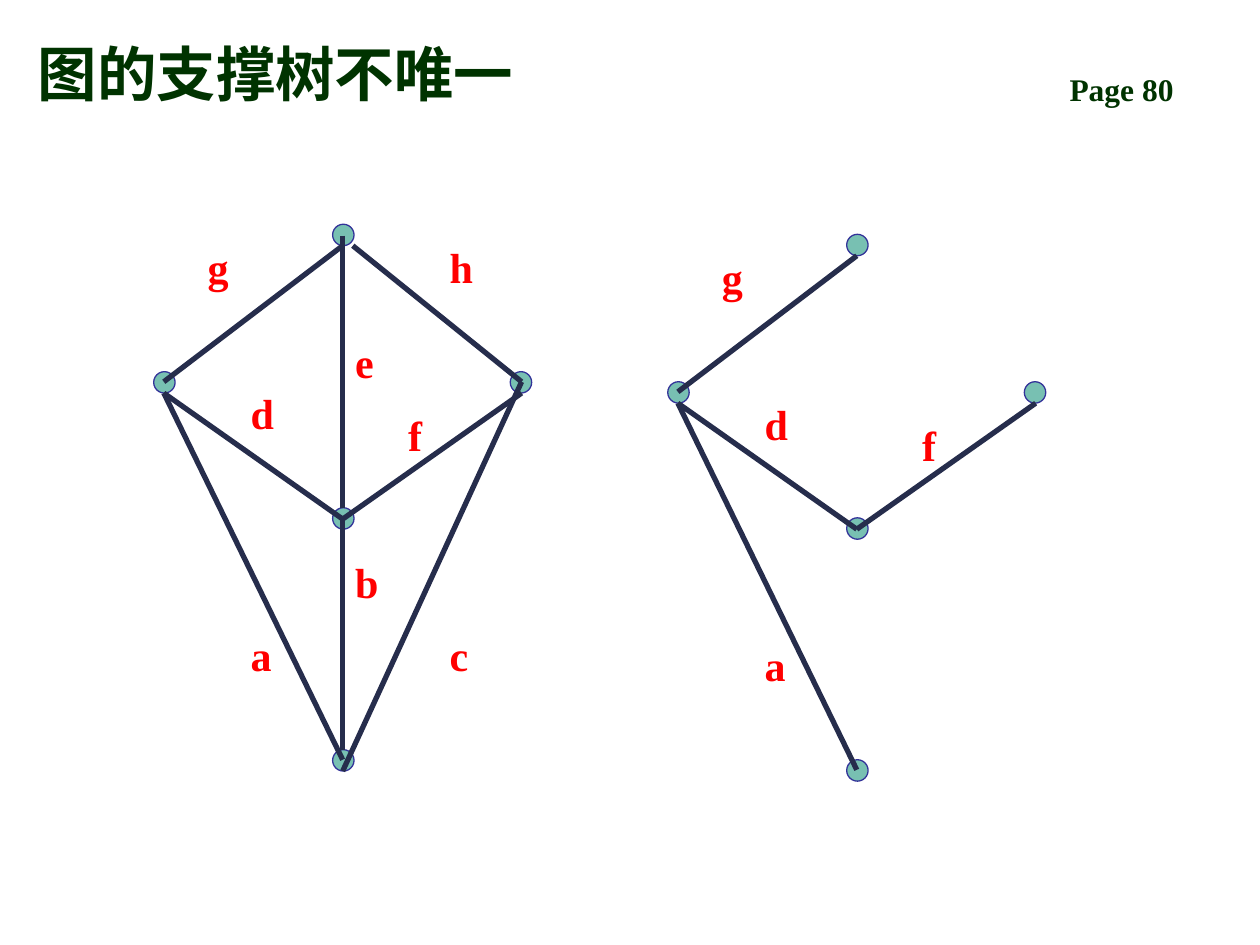
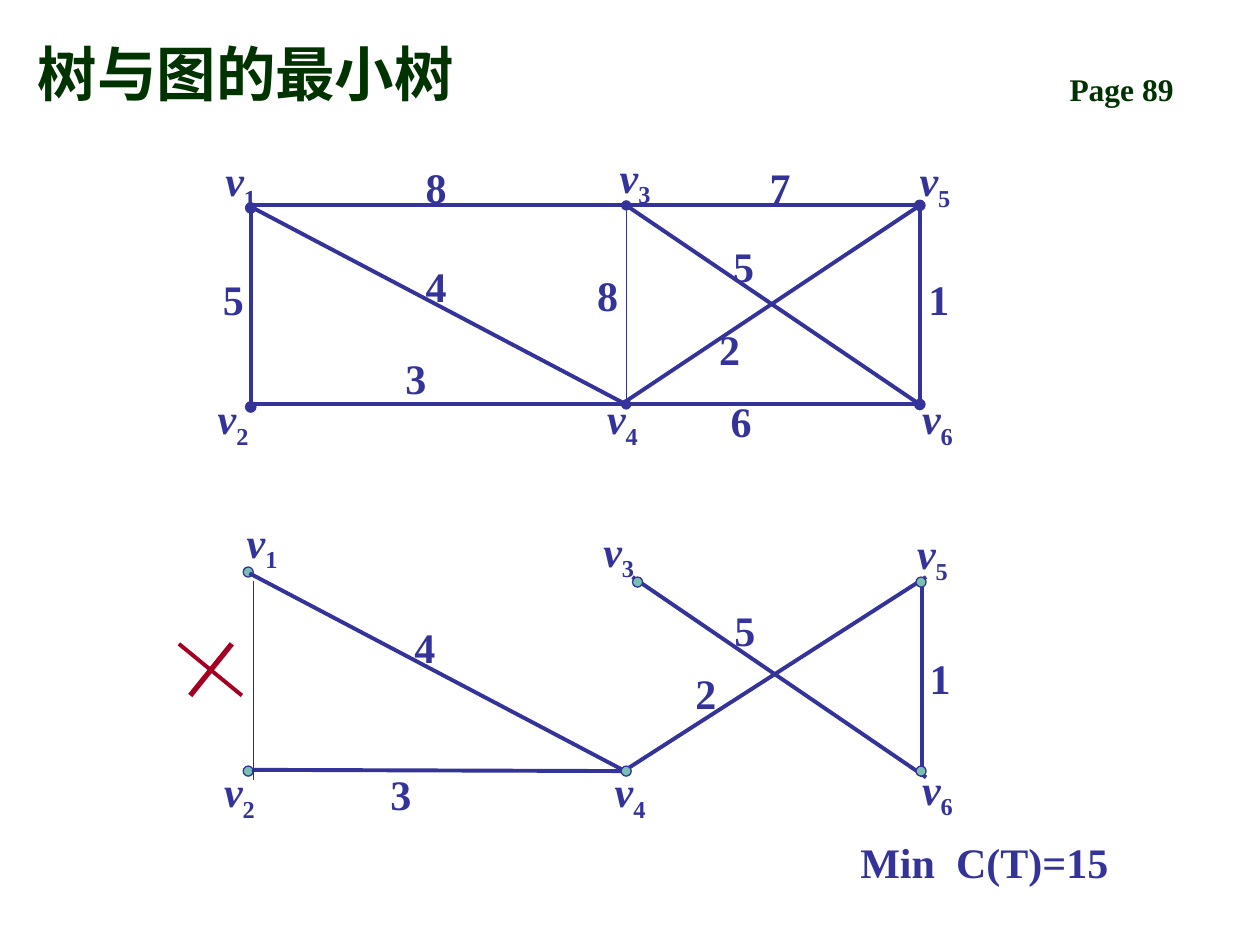
import pptx
import pptx.dml.color
import pptx.enum.shapes
import pptx.enum.text
import pptx.oxml.xmlchemy
import pptx.presentation
import pptx.shapes.shapetree
import pptx.slide
import pptx.text.text
import pptx.util
from typing import NamedTuple

Inches = pptx.util.Inches
Point = tuple[float, float]
Shapes = pptx.shapes.shapetree.SlideShapes | pptx.shapes.shapetree.GroupShapes

FONT_NAME = "Times New Roman"
DARK_GREEN = pptx.dml.color.RGBColor(0x00, 0x33, 0x00)
TEAL = pptx.dml.color.RGBColor(0x78, 0xC0, 0xB2)
INDIGO = pptx.dml.color.RGBColor(0x33, 0x33, 0x99)
NAVY = pptx.dml.color.RGBColor(0x26, 0x2D, 0x4C)
RED = pptx.dml.color.RGBColor(0xFF, 0x00, 0x00)
CRIMSON = pptx.dml.color.RGBColor(0xA5, 0x00, 0x21)

TITLE_FORMAT = {"name": FONT_NAME, "size": pptx.util.Pt(34), "bold": True}
PAGE_FORMAT = TITLE_FORMAT | {"size": pptx.util.Pt(18)}
LABEL_FORMAT = TITLE_FORMAT | {"size": pptx.util.Pt(24)}

LABEL_HEIGHT = 0.5
LETTER_WIDTH = 0.42
WEIGHT_WIDTH = 0.37
VERTEX_WIDTH = 0.46


class Edge(NamedTuple):
    start: Point
    end: Point
    width: float = 2.25
    oval_ends: bool = False


class Label(NamedTuple):
    text: str
    left: float
    top: float


class NamedEdge(NamedTuple):
    edge: Edge
    label: Label


NODE_SIZE = 0.17
GRAPH_NODES = [(2.64, 1.78), (4.05, 2.95), (1.22, 2.95), (2.64, 4.03), (2.64, 5.95)]
GRAPH_EDGES = [
    NamedEdge(Edge((1.3, 3.03), (2.72, 1.95), 3), Label("g", 1.55, 1.87)),
    NamedEdge(Edge((2.8, 1.95), (4.14, 3.03), 3), Label("h", 3.47, 1.87)),
    NamedEdge(Edge((2.72, 1.87), (2.72, 4.03), 3), Label("e", 2.72, 2.62)),
    NamedEdge(Edge((1.3, 3.12), (2.72, 4.12), 3), Label("d", 1.89, 3.03)),
    NamedEdge(Edge((4.14, 3.12), (2.72, 4.12), 3), Label("f", 3.14, 3.2)),
    NamedEdge(Edge((2.72, 4.12), (2.72, 5.95), 3), Label("b", 2.72, 4.37)),
    NamedEdge(Edge((1.3, 3.12), (2.72, 6.03), 3), Label("a", 1.89, 4.95)),
    NamedEdge(Edge((4.14, 3.03), (2.72, 6.12), 3), Label("c", 3.47, 4.95)),
]
SPANNING_TREE = "gdfa"
TREE_OFFSET = (4.08, 0.08)

TOP, BOTTOM = 1.63, 3.21
COLUMN_1, COLUMN_2, COLUMN_3 = 1.97, 4.97, 7.3
NETWORK_EDGES = [
    Edge((1.99, 1.65), (1.99, 3.23), oval_ends=True),
    Edge((COLUMN_1, TOP), (COLUMN_2, TOP)),
    Edge((COLUMN_1, BOTTOM), (5.05, BOTTOM)),
    Edge((COLUMN_1, TOP), (COLUMN_2, BOTTOM)),
    Edge((COLUMN_2, TOP), (COLUMN_2, BOTTOM), 0.75, True),
    Edge((COLUMN_2, TOP), (COLUMN_3, TOP)),
    Edge((COLUMN_3, TOP), (4.96, 3.19)),
    Edge((COLUMN_2, TOP), (COLUMN_3, BOTTOM)),
    Edge((COLUMN_2, BOTTOM), (COLUMN_3, BOTTOM)),
    Edge((COLUMN_3, TOP), (COLUMN_3, BOTTOM), oval_ends=True),
]
NETWORK_VERTICES = [
    Label("1", 1.69, 1.18), Label("2", 1.63, 3.07), Label("3", 4.82, 1.15),
    Label("4", 4.72, 3.07), Label("5", 7.2, 1.18), Label("6", 7.22, 3.07),
]
NETWORK_WEIGHTS = [
    Label("5", 1.67, 2.12), Label("8", 3.28, 1.23), Label("4", 3.28, 2.02),
    Label("3", 3.12, 2.75), Label("7", 6.01, 1.23), Label("5", 5.72, 1.86),
    Label("2", 5.61, 2.52), Label("6", 5.7, 3.09), Label("1", 7.27, 2.12),
    Label("8", 4.64, 2.09),
]

TREE_DOT_SIZE = 0.08
TREE_LEFT_DOTS = [(1.93, 4.5), (1.93, 6.08)]
TREE_RIGHT_DOTS = [(5.02, 4.58), (4.93, 6.08), (7.27, 4.58), (7.27, 6.08)]
TREE_EDGES = [
    Edge((2, 6.11), (4.95, 6.12)),
    Edge((1.98, 4.55), (4.98, 6.13)),
    Edge((7.35, 4.58), (4.95, 6.12)),
    Edge((5.02, 4.58), (7.35, 6.17)),
    Edge((7.32, 4.58), (7.32, 6.17)),
]
TREE_VERTICES = [
    Label("1", 1.86, 4.05), Label("2", 1.68, 6.03), Label("3", 4.69, 4.12),
    Label("4", 4.78, 6.03), Label("5", 7.18, 4.14), Label("6", 7.22, 6.01),
]
TREE_WEIGHTS = [
    Label("4", 3.19, 4.88), Label("3", 3, 6.05), Label("5", 5.73, 4.75),
    Label("2", 5.42, 5.25), Label("1", 7.28, 5.13),
]
REMOVED_EDGE = [
    Edge((2.01, 4.61), (2.01, 6.19), 0.75),
    Edge((1.84, 5.11), (1.51, 5.52), 3),
    Edge((1.42, 5.11), (1.92, 5.52)),
]


def format_font(font: pptx.text.text.Font, values: dict,
                color: pptx.dml.color.RGBColor) -> None:
    for name, value in values.items():
        setattr(font, name, value)
    font.color.rgb = color


def add_text(shapes: Shapes, label: Label, width: float, color: pptx.dml.color.RGBColor,
             values: dict = LABEL_FORMAT, height: float = LABEL_HEIGHT,
             wrap: bool = True) -> pptx.text.text._Paragraph:
    box = shapes.add_textbox(Inches(label.left), Inches(label.top),
                             Inches(width), Inches(height))
    box.text_frame.word_wrap = wrap
    paragraph = box.text_frame.paragraphs[0]
    run = paragraph.add_run()
    run.text = label.text
    format_font(run.font, values, color)
    return paragraph


def add_vertex_name(shapes: Shapes, label: Label) -> None:
    paragraph = add_text(shapes, label._replace(text="v"), VERTEX_WIDTH, INDIGO,
                         LABEL_FORMAT | {"italic": True}, wrap=False)
    subscript = paragraph.add_run()
    subscript.text = label.text
    format_font(subscript.font, LABEL_FORMAT, INDIGO)
    subscript._r.get_or_add_rPr().set("baseline", "-25000")


def add_node(shapes: Shapes, position: Point, size: float) -> None:
    left, top = position
    node = shapes.add_shape(pptx.enum.shapes.MSO_SHAPE.OVAL, Inches(left), Inches(top),
                            Inches(size), Inches(size))
    node.shadow.inherit = False
    node.fill.solid()
    node.fill.fore_color.rgb = TEAL
    node.line.color.rgb = INDIGO
    node.line.width = pptx.util.Pt(0.75)


def add_edge(shapes: Shapes, edge: Edge, color: pptx.dml.color.RGBColor) -> None:
    connector = shapes.add_connector(
        pptx.enum.shapes.MSO_CONNECTOR.STRAIGHT,
        *(Inches(value) for value in edge.start + edge.end))
    connector.line.color.rgb = color
    connector.line.width = pptx.util.Pt(edge.width)
    if edge.oval_ends:
        line = connector.line._get_or_add_ln()
        for tag in ("a:headEnd", "a:tailEnd"):
            end = pptx.oxml.xmlchemy.OxmlElement(tag)
            end.set("type", "oval")
            line.append(end)
    connector._element.spPr.append(pptx.oxml.xmlchemy.OxmlElement("a:effectLst"))


def shifted(point: Point, offset: Point) -> Point:
    return point[0] + offset[0], point[1] + offset[1]


def add_lettered_graph(shapes: Shapes, letters: str, offset: Point) -> None:
    for position in GRAPH_NODES:
        add_node(shapes, shifted(position, offset), NODE_SIZE)
    chosen = [item for item in GRAPH_EDGES if item.label.text in letters]
    for edge, _ in chosen:
        add_edge(shapes, edge._replace(start=shifted(edge.start, offset),
                                       end=shifted(edge.end, offset)), NAVY)
    for _, label in chosen:
        left, top = shifted((label.left, label.top), offset)
        add_text(shapes, Label(label.text, left, top), LETTER_WIDTH, RED)


def add_network_labels(shapes: Shapes, vertices: list[Label],
                       weights: list[Label]) -> None:
    for vertex in vertices:
        add_vertex_name(shapes, vertex)
    for weight in weights:
        add_text(shapes, weight, WEIGHT_WIDTH, INDIGO, wrap=False)


def add_slide(presentation: pptx.presentation.Presentation, title: str,
              page: int) -> pptx.slide.Slide:
    slide = presentation.slides.add_slide(presentation.slide_layouts[5])
    heading = slide.shapes.title
    bounds = {"left": 0.2, "top": 0.13, "width": 8.03, "height": 0.78}
    for name, value in bounds.items():
        setattr(heading, name, Inches(value))
    frame = heading.text_frame
    frame.text = title
    frame.auto_size = pptx.enum.text.MSO_AUTO_SIZE.NONE
    frame.vertical_anchor = pptx.enum.text.MSO_ANCHOR.BOTTOM
    paragraph = frame.paragraphs[0]
    paragraph.alignment = pptx.enum.text.PP_ALIGN.LEFT
    format_font(paragraph.runs[0].font, TITLE_FORMAT, DARK_GREEN)
    add_text(slide.shapes, Label(f"Page {page}", 8.39, 0.51), 1.42, DARK_GREEN,
             PAGE_FORMAT, height=0.4)
    return slide


def build_spanning_tree_slide(presentation: pptx.presentation.Presentation) -> None:
    slide = add_slide(presentation, "图的支撑树不唯一", 80)
    all_letters = "".join(item.label.text for item in GRAPH_EDGES)
    for letters, offset in ((SPANNING_TREE, TREE_OFFSET), (all_letters, (0, 0))):
        add_lettered_graph(slide.shapes.add_group_shape().shapes, letters, offset)


def add_total_cost(shapes: Shapes) -> None:
    paragraph = add_text(shapes, Label("Min\tC(T)=15", 6.73, 6.59), 2.5, INDIGO)
    tab_list = pptx.oxml.xmlchemy.OxmlElement("a:tabLst")
    tab = pptx.oxml.xmlchemy.OxmlElement("a:tab")
    tab.set("pos", str(Inches(0.76)))
    tab.set("algn", "l")
    tab_list.append(tab)
    paragraph._p.get_or_add_pPr().append(tab_list)


def build_minimum_tree_slide(presentation: pptx.presentation.Presentation) -> None:
    slide = add_slide(presentation, "树与图的最小树", 89)
    for position in TREE_LEFT_DOTS:
        add_node(slide.shapes, position, TREE_DOT_SIZE)
    for edge in TREE_EDGES:
        add_edge(slide.shapes, edge, INDIGO)
    for position in TREE_RIGHT_DOTS:
        add_node(slide.shapes, position, TREE_DOT_SIZE)
    add_network_labels(slide.shapes, TREE_VERTICES, TREE_WEIGHTS)

    removed_edge = slide.shapes.add_group_shape().shapes
    for edge in REMOVED_EDGE:
        add_edge(removed_edge, edge, CRIMSON)

    network = slide.shapes.add_group_shape().shapes
    for edge in NETWORK_EDGES:
        add_edge(network, edge, INDIGO)
    add_network_labels(network, NETWORK_VERTICES, NETWORK_WEIGHTS)
    add_total_cost(slide.shapes)


def main() -> None:
    presentation = pptx.Presentation()
    presentation.slide_width = Inches(10)
    presentation.slide_height = Inches(7.5)
    build_spanning_tree_slide(presentation)
    build_minimum_tree_slide(presentation)
    presentation.save("out.pptx")


if __name__ == "__main__":
    main()
